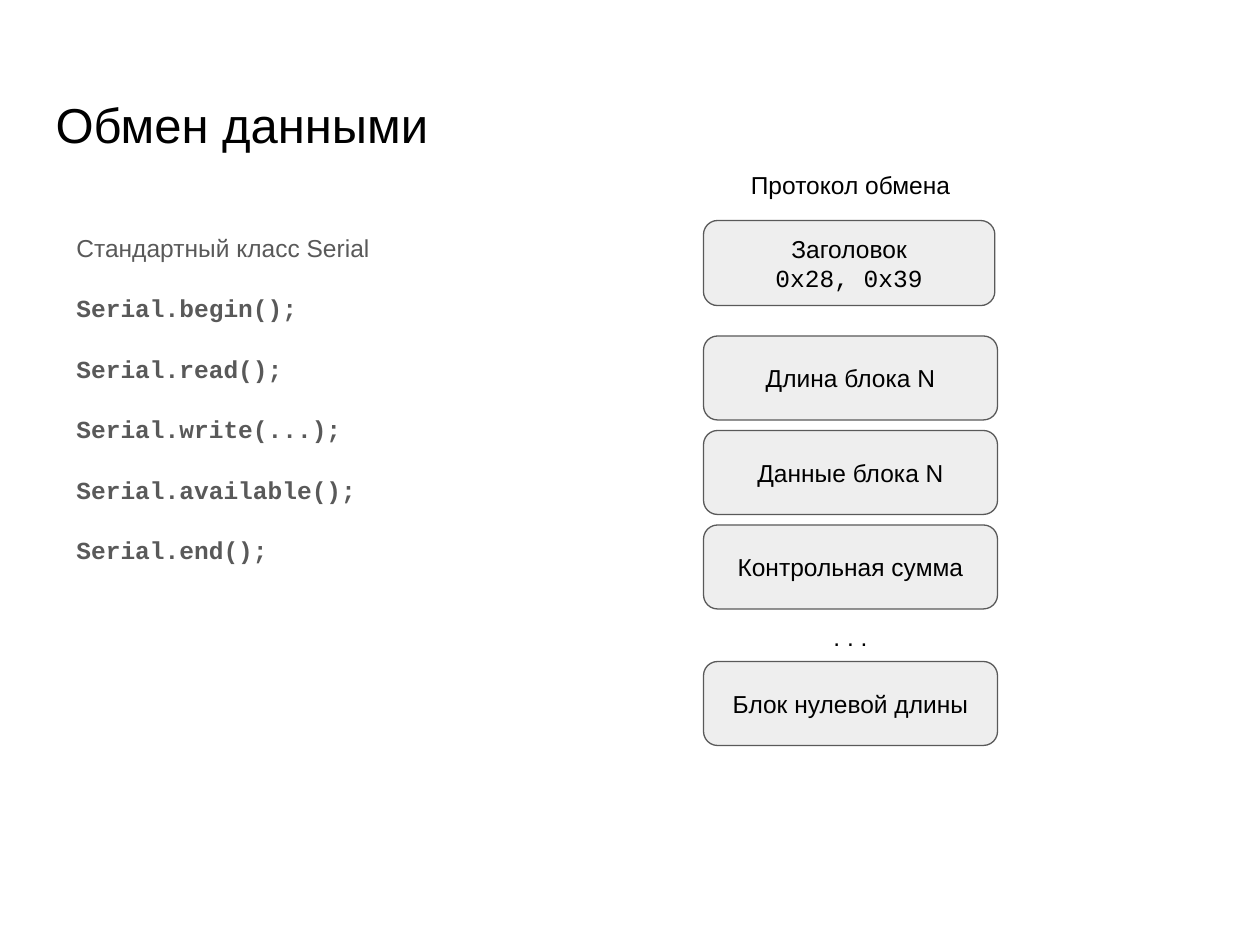
"""Builds the slide on serial data exchange and its block protocol."""
from pptx import Presentation
from pptx.dml.color import RGBColor
from pptx.enum.shapes import MSO_SHAPE
from pptx.enum.text import MSO_ANCHOR, MSO_AUTO_SIZE, PP_ALIGN
from pptx.util import Inches, Pt

BLACK = RGBColor(0x00, 0x00, 0x00)
GRAY = RGBColor(0x59, 0x59, 0x59)
LIGHT = RGBColor(0xEE, 0xEE, 0xEE)
SANS, MONO = "Arial", "Courier New"
TITLE_ONLY = 5
COLS, ROWS = 120, 90
BLOCK_COL, BLOCK_W, BLOCK_H, BLOCK_STEP = 67, 28, 8, 9


class Deck:
    def __init__(self):
        self.prs = Presentation()
        self.prs.slide_width, self.prs.slide_height = Inches(10), Inches(7.5)
        self.s = self.prs.slides.add_slide(self.prs.slide_layouts[TITLE_ONLY])

    def box(self, col, row, cols, rows):
        dx, dy = self.prs.slide_width / COLS, self.prs.slide_height / ROWS
        return [round(v) for v in (col * dx, row * dy, cols * dx, rows * dy)]

    def put_lines(self, sp, lines, size=14, color=BLACK, align=PP_ALIGN.CENTER,
                  anchor=MSO_ANCHOR.TOP, gap=0):
        tf = sp.text_frame
        tf.word_wrap = True
        tf.auto_size = MSO_AUTO_SIZE.NONE
        tf.vertical_anchor = anchor
        tf.margin_left = tf.margin_right = Inches(0.1)
        tf.margin_top = tf.margin_bottom = Inches(0.1)
        for i, (text, font, bold) in enumerate(lines):
            p = tf.add_paragraph() if i else tf.paragraphs[0]
            p.alignment = align
            p.space_before = Pt(gap if i else 0)
            r = p.add_run()
            r.text = text
            r.font.name, r.font.size, r.font.bold = font, Pt(size), bold
            r.font.color.rgb = color

    def title(self, text, *cell):
        sp = self.s.shapes.title
        sp.left, sp.top, sp.width, sp.height = self.box(*cell)
        self.put_lines(sp, [(text, SANS, False)], size=28, align=PP_ALIGN.LEFT)

    def text(self, lines, *cell, **style):
        self.put_lines(self.s.shapes.add_textbox(*self.box(*cell)), lines, **style)

    def block(self, lines, row, cols=BLOCK_W, rows=BLOCK_H):
        sp = self.s.shapes.add_shape(MSO_SHAPE.ROUNDED_RECTANGLE,
                                     *self.box(BLOCK_COL, row, cols, rows))
        sp.shadow.inherit = False
        sp.fill.solid()
        sp.fill.fore_color.rgb = LIGHT
        sp.line.color.rgb = GRAY
        sp.line.width = Pt(0.75)
        self.put_lines(sp, lines, anchor=MSO_ANCHOR.MIDDLE)


def main():
    deck = Deck()
    deck.title("Обмен данными", 4.1, 7.8, 111.8, 10)

    calls = ["begin()", "read()", "write(...)", "available()", "end()"]
    lines = [("Стандартный класс Serial", SANS, False)]
    lines += [(f"Serial.{call};", MONO, True) for call in calls]
    deck.text(lines, 6.1, 21, 49, 40.8, color=GRAY, align=PP_ALIGN.LEFT, gap=17.7)

    deck.text([("Протокол обмена", SANS, False)], BLOCK_COL, 15, BLOCK_W, 5)
    deck.block([("Заголовок", SANS, False), ("0x28, 0x39", MONO, False)],
               21, 27.75, 8.1)
    for i, name in enumerate(["Длина блока N", "Данные блока N", "Контрольная сумма"]):
        deck.block([(name, SANS, False)], 32 + i * BLOCK_STEP)
    deck.block([("Блок нулевой длины", SANS, False)], 63)
    deck.text([(". . .", SANS, False)], BLOCK_COL, 58, BLOCK_W, 4)

    deck.prs.save("out.pptx")


if __name__ == "__main__":
    main()
